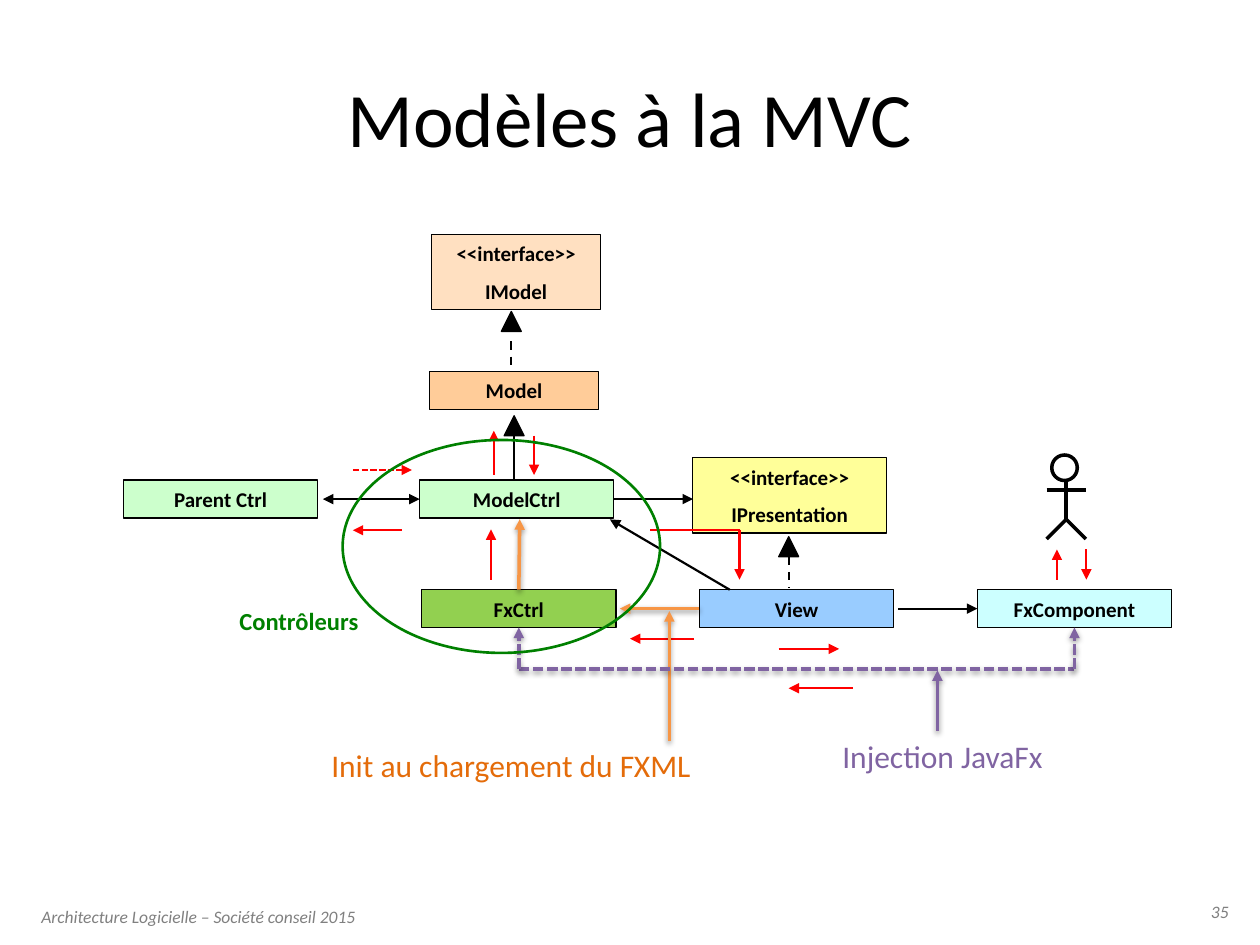
from lxml import etree
from pptx import Presentation
from pptx import util as u
from pptx.dml.color import RGBColor
from pptx.enum import dml, shapes, text
from pptx.oxml.ns import qn

BLACK = RGBColor(0x00, 0x00, 0x00)
WHITE = RGBColor(0xFF, 0xFF, 0xFF)
GRAY = RGBColor(0x80, 0x80, 0x80)
RED = RGBColor(0xFF, 0x00, 0x00)
ORANGE = RGBColor(0xF7, 0x96, 0x46)
DARK_ORANGE = RGBColor(0xE4, 0x6C, 0x0A)
PURPLE = RGBColor(0x80, 0x64, 0xA2)
GREEN = RGBColor(0x00, 0x80, 0x00)
MINT = RGBColor(0xCC, 0xFF, 0xCC)
LIME = RGBColor(0x92, 0xD0, 0x50)
PEACH = RGBColor(0xFF, 0xE0, 0xC1)
APRICOT = RGBColor(0xFF, 0xCC, 0x99)
YELLOW = RGBColor(0xFF, 0xFF, 0x99)
BLUE = RGBColor(0x99, 0xCC, 0xFF)
AQUA = RGBColor(0xCC, 0xFF, 0xFF)

DASH = dml.MSO_LINE.DASH
SHORT_DASH = dml.MSO_LINE.SQUARE_DOT
TOP, LEFT, BOTTOM, RIGHT = range(4)
CENTER = text.PP_ALIGN.CENTER
MIDDLE = text.MSO_ANCHOR.MIDDLE


def write_text(frame, content, size=12, color=BLACK, bold=False, italic=False,
               align=CENTER, anchor=text.MSO_ANCHOR.TOP, wrap=True, gap=7, font="Calibri"):
    frame.word_wrap = wrap
    frame.vertical_anchor = anchor
    frame.margin_left = frame.margin_right = u.Pt(3.6)
    frame.margin_top = frame.margin_bottom = u.Pt(3.6)
    for index, line in enumerate(content.split("\n")):
        paragraph = frame.add_paragraph() if index else frame.paragraphs[0]
        paragraph.alignment = align
        if index:
            paragraph.space_before = u.Pt(gap)
        run = paragraph.add_run()
        run.text = line
        run.font.name, run.font.size = font, u.Pt(size)
        run.font.bold, run.font.italic = bold, italic
        run.font.color.rgb = color


class Diagram:
    """Draws styled elements on one slide; all lengths are in points."""
    thin, normal, thick = 0.75, 1.25, 2

    def __init__(self, slide):
        self.slide = slide

    def title(self, content, *area):
        title = self.slide.shapes.title
        title.left, title.top, title.width, title.height = map(u.Pt, area)
        write_text(title.text_frame, content, size=44, anchor=MIDDLE)

    def label(self, content, *area, **style):
        label = self.slide.shapes.add_textbox(*map(u.Pt, area))
        write_text(label.text_frame, content, **style)

    def shape(self, kind, *area, fill=None, color=BLACK, width=thin):
        shape = self.slide.shapes.add_shape(kind, *map(u.Pt, area))
        shape.shadow.inherit = False
        if fill is None:
            shape.fill.background()
        else:
            shape.fill.solid()
            shape.fill.fore_color.rgb = fill
        shape.line.color.rgb = color
        shape.line.width = u.Pt(width)
        return shape

    def box(self, content, left, top, fill, width=111, height=21.6):
        box = self.shape(shapes.MSO_SHAPE.RECTANGLE, left, top, width, height, fill=fill)
        write_text(box.text_frame, content, bold=True, anchor=MIDDLE)
        return box

    def triangle(self, tip_x, top, side=11.4):
        self.shape(shapes.MSO_SHAPE.ISOSCELES_TRIANGLE,
                   tip_x - side / 2, top, side, side, fill=BLACK)

    def line(self, start, end, color=BLACK, width=normal, dash=None,
             heads="", shadow=False):
        """An end is a point (x, y) or a joint (shape, side)."""
        joints = [hasattr(point[0], "shape_id") for point in (start, end)]
        places = [(0, 0) if joint else point for joint, point in zip(joints, (start, end))]
        line = self.slide.shapes.add_connector(
            shapes.MSO_CONNECTOR.STRAIGHT, *(u.Pt(n) for place in places for n in place))
        if joints[0]:
            line.begin_connect(*start)
        if joints[1]:
            line.end_connect(*end)
        line.line.color.rgb = color
        line.line.width = u.Pt(width)
        if dash:
            line.line.dash_style = dash
        properties = line._element.spPr
        outline = properties.find(qn("a:ln"))
        for side in ("head", "tail"):
            if side in heads:
                etree.SubElement(outline, qn(f"a:{side}End"), type="triangle")
        effects = etree.SubElement(properties, qn("a:effectLst"))
        if shadow:
            outer = etree.SubElement(effects, qn("a:outerShdw"), blurRad=str(u.Pt(3)),
                                     dist=str(u.Pt(1.6)), dir="5400000", rotWithShape="0")
            shade = etree.SubElement(outer, qn("a:srgbClr"), val=str(BLACK))
            etree.SubElement(shade, qn("a:alpha"), val="38000")

    def arrow(self, start, end, **style):
        self.line(start, end, heads="tail", **style)


def main():
    presentation = Presentation()
    presentation.slide_width, presentation.slide_height = u.Pt(720), u.Pt(540)
    slide = presentation.slides.add_slide(presentation.slide_layouts[5])
    diagram = Diagram(slide)

    # Title and footer
    diagram.title("Modèles à la MVC", 36, 21.6, 648, 90)
    footer = dict(size=10, color=GRAY, italic=True)
    diagram.label("Architecture Logicielle – Société conseil 2015", 20, 514, 209.5, 29.5,
                  align=text.PP_ALIGN.LEFT, **footer)
    diagram.label("35", 687, 511.2, 18.7, 18, align=text.PP_ALIGN.RIGHT, wrap=False, **footer)

    # Class boxes
    control_row, view_row = 274.4, 337
    control_axis, view_axis = control_row + 10.8, view_row + 10.8
    diagram.box("<<interface>>\nIModel", 246.7, 134, PEACH, 96.5, 43)
    diagram.box("Model", 245.5, 212.4, APRICOT, 96.5)
    diagram.box("Parent Ctrl", 70.6, control_row, MINT)
    model_ctrl = diagram.box("ModelCtrl", 239.8, control_row, MINT)
    diagram.box("<<interface>>\nIPresentation", 395.8, 261.6, YELLOW, height=43)
    fx_ctrl = diagram.box("FxCtrl", 241, view_row, LIME)
    view = diagram.box("View", 399.7, view_row, BLUE)
    fx_component = diagram.box("FxComponent", 558.5, view_row, AQUA)

    # Inheritance: triangle tip and stem
    for x, top, stem_top, stem_bottom, dash in (
            (292.2, 178, 195, 212, DASH),
            (293.8, 237.6, 249, 274.4, None),
            (450.7, 306.7, 318, 335.5, DASH)):
        diagram.triangle(x, top)
        diagram.line((x, stem_top), (x, stem_bottom), dash=dash)

    # Associations
    diagram.line((184.5, control_axis), (model_ctrl, LEFT), heads="head tail")
    diagram.arrow((model_ctrl, RIGHT), (396, control_axis))
    diagram.arrow((417, 337), (348.5, 296.8))
    diagram.arrow((513.4, view_axis), (fx_component, LEFT))

    # Messages
    for start, end in (
            ((396.7, 365), (360, 365)),
            ((487.4, 393.3), (450.7, 393.3)),
            ((445, 370.8), (479.5, 370.8)),
            ((604, 331.2), (604, 314)),
            ((620.8, 314), (620.8, 331.2)),
            ((282.2, 271.4), (282.2, 246.2)),
            ((305.2, 249), (305.2, 271.4)),
            ((280.6, 331.2), (280.6, 302.5)),
            ((422.6, 302.7), (422.6, 331.2)),
            ((229.7, 303), (201.6, 303))):
        diagram.arrow(start, end, color=RED)
    diagram.line((371.5, 302.7), (422.6, 302.7), color=RED)
    diagram.arrow((201.6, 268.6), (235.4, 268.6), color=RED, dash=SHORT_DASH)

    # User figure
    user_x, hip_y, foot_y, reach = 609.3, 296.8, 308, 11.2
    diagram.shape(shapes.MSO_SHAPE.OVAL, 601, 260, 14.6, 14.6, fill=WHITE, width=2)
    for start, end in (
            ((user_x, 274.4), (user_x, hip_y)),
            ((user_x - reach, 280), (user_x + reach, 280)),
            ((user_x, hip_y), (user_x - reach, foot_y)),
            ((user_x, hip_y), (user_x + reach, foot_y))):
        diagram.line(start, end, width=2)

    # FXML loading
    loading = dict(color=ORANGE, width=2, shadow=True)
    diagram.arrow((view, LEFT), (354.2, view_axis), **loading)
    diagram.arrow((fx_ctrl, TOP), (297, 296.7), **loading)
    diagram.line((382.5, 349.2), (382.5, 423.4), heads="head", **loading)
    diagram.label("Init au chargement du FXML", 178.6, 422.6, 226.8, 49,
                  size=18, color=DARK_ORANGE)

    # Injection
    injection = dict(color=PURPLE, width=2, shadow=True)
    injection_y = 382.3
    diagram.line((296.5, injection_y), (614, injection_y), dash=SHORT_DASH, **injection)
    for x, target in ((296.5, fx_ctrl), (614, fx_component)):
        diagram.arrow((x, injection_y), (target, BOTTOM), dash=SHORT_DASH, **injection)
    diagram.line((535.7, 383), (535.7, 417.6), heads="head", **injection)
    diagram.label("Injection JavaFx", 456.5, 417.6, 164.2, 28, size=18, color=PURPLE)

    # Controllers group
    diagram.shape(shapes.MSO_SHAPE.OVAL, 195.8, 251.4, 181.4, 121.7, color=GREEN, width=1.5)
    diagram.label("Contrôleurs", 133.2, 343, 99.4, 23, size=14, color=GREEN, bold=True,
                  align=text.PP_ALIGN.LEFT, anchor=MIDDLE)

    presentation.save("out.pptx")


if __name__ == "__main__":
    main()
